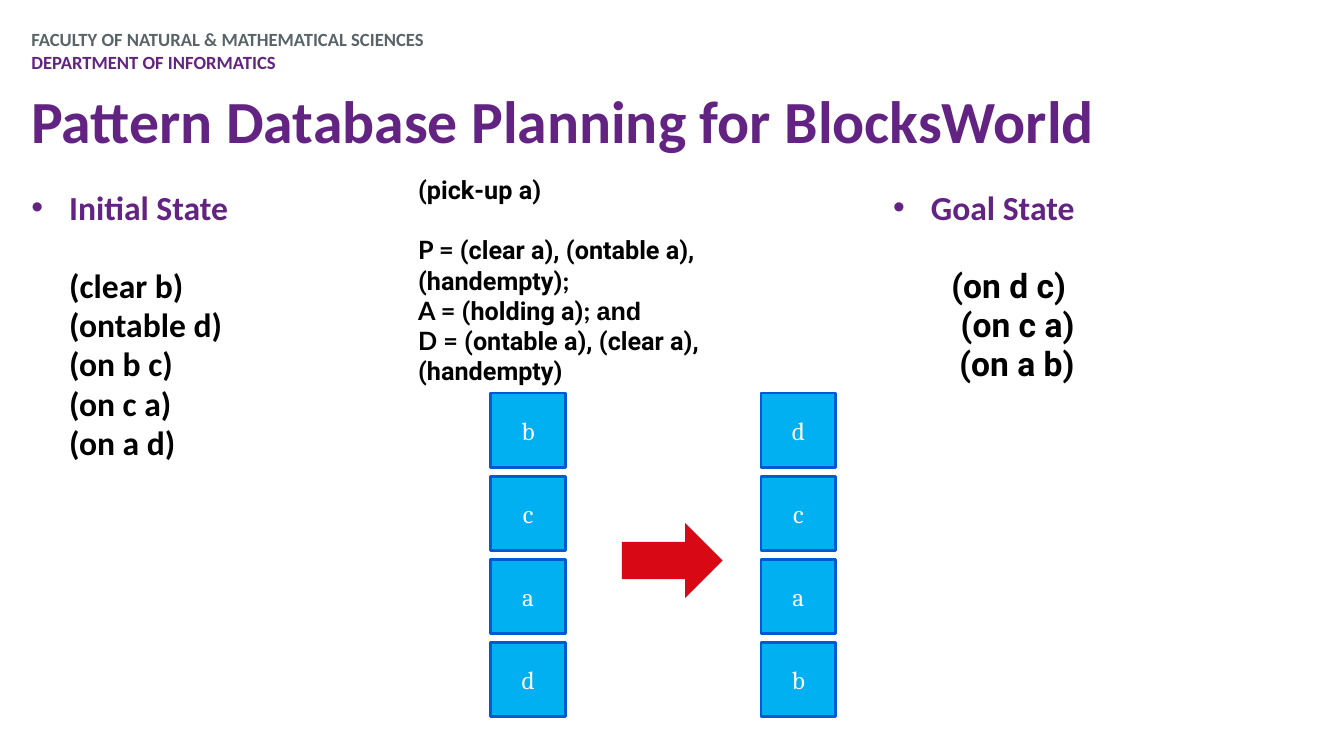
from lxml import etree
from pptx import Presentation
from pptx import util as u
from pptx.dml.color import RGBColor
from pptx.enum import shapes, text
from pptx.oxml.ns import qn

COLOURS = {
    "purple": "632382",
    "grey": "596469",
    "black": "000000",
    "white": "FFFFFF",
    "block": "00B0F0",
    "block_edge": "005AD2",
    "arrow": "D80815",
}
BLOCK_SIZE = 53.4
BLOCK_PITCH = 59.3
BULLET_INDENT = 27


def colour(name):
    return RGBColor.from_string(COLOURS[name])


def style(font, size, face, ink, bold=True):
    font.size = u.Pt(size)
    font.name = face
    font.bold = bold
    font.color.rgb = colour(ink)


def add_frame(slide, left, top, width, height, inset=(0, 0)):
    frame = slide.shapes.add_textbox(*map(u.Pt, (left, top, width, height))).text_frame
    frame.word_wrap = True
    frame.margin_left = frame.margin_right = u.Pt(inset[0])
    frame.margin_top = frame.margin_bottom = u.Pt(inset[1])
    return frame


def add_header(slide, left, top, width):
    affiliation = add_frame(slide, left, top, width, 32.4)
    faculty = affiliation.paragraphs[0]
    faculty.text = "FACULTY OF NATURAL & MATHEMATICAL SCIENCES"
    style(faculty.font, 13.3, "Calibri", "grey")
    department = affiliation.add_paragraph()
    department.text = "DEPARTMENT OF INFORMATICS"
    style(department.font, 13.3, "Calibri", "purple")

    headline = add_frame(slide, left, top + 36.7, 828, 56.9)
    headline.vertical_anchor = text.MSO_ANCHOR.MIDDLE
    title = headline.paragraphs[0]
    title.text = "Pattern Database Planning for BlocksWorld"
    style(title.font, 42.7, "Calibri", "purple")


def add_bullet(paragraph):
    properties = paragraph._p.get_or_add_pPr()
    properties.set("indent", str(-u.Pt(BULLET_INDENT)))
    ink = etree.SubElement(properties, qn("a:buClr"))
    etree.SubElement(ink, qn("a:srgbClr")).set("val", COLOURS["purple"])
    etree.SubElement(properties, qn("a:buFont")).set("typeface", "Arial")
    etree.SubElement(properties, qn("a:buChar")).set("char", "•")


def add_state(slide, left, top, width, heading, facts, face, align):
    frame = add_frame(slide, left, top, width, 357)
    state = frame.paragraphs[0]
    state.text = heading
    style(state.font, 24, "Calibri", "purple")
    state.space_after = u.Pt(28)
    predicates = frame.add_paragraph()
    predicates.text = "\v".join(facts)
    style(predicates.font, 24, face, "black")
    for paragraph in (state, predicates):
        paragraph.alignment = align
        paragraph.line_spacing = u.Pt(28)
        paragraph._p.get_or_add_pPr().set("marL", str(u.Pt(BULLET_INDENT)))
    add_bullet(state)


def add_action(slide, left, top, width, name, effects):
    frame = add_frame(slide, left, top, width, 116.6, inset=(7.2, 3.6))
    action = frame.paragraphs[0]
    action.text = name
    style(action.font, 18, "Roboto", "black")
    action.space_after = u.Pt(21.5)
    for pieces in effects:
        effect = frame.add_paragraph()
        for words, face in pieces:
            run = effect.add_run()
            run.text = words
            style(run.font, 18, face, "black")


def add_tower(slide, left, top, letters):
    for level, letter in enumerate(letters):
        block = slide.shapes.add_shape(
            shapes.MSO_SHAPE.RECTANGLE, u.Pt(left), u.Pt(top + level * BLOCK_PITCH),
            u.Pt(BLOCK_SIZE), u.Pt(BLOCK_SIZE))
        block.shadow.inherit = False
        block.fill.solid()
        block.fill.fore_color.rgb = colour("block")
        block.line.color.rgb = colour("block_edge")
        block.line.width = u.Pt(2)
        block.text_frame.vertical_anchor = text.MSO_ANCHOR.MIDDLE
        label = block.text_frame.paragraphs[0]
        label.text = letter
        label.alignment = text.PP_ALIGN.CENTER
        style(label.font, 18, "Cambria", "white", bold=False)


def add_towers(slide, left, top):
    add_tower(slide, left, top, "bcad")
    add_tower(slide, left + 193, top, "dcab")
    arrow = slide.shapes.add_shape(
        shapes.MSO_SHAPE.RIGHT_ARROW, u.Pt(left + 93.6), u.Pt(top + 92.9),
        u.Pt(72), u.Pt(BLOCK_SIZE))
    arrow.shadow.inherit = False
    arrow.fill.solid()
    arrow.fill.fore_color.rgb = colour("arrow")
    arrow.line.fill.background()


def main():
    deck = Presentation()
    deck.slide_width, deck.slide_height = u.Pt(960), u.Pt(540)
    slide = deck.slides.add_slide(deck.slide_layouts[6])

    add_header(slide, 22.4, 20.2, 643)
    add_state(slide, 22.4, 134, 400, "Initial State",
              ["(clear b)", "(ontable d)", "(on b c)", "(on c a) ", "(on a d)"],
              "Calibri", text.PP_ALIGN.LEFT)
    add_state(slide, 570.2, 134, 197.3, "Goal State",
              ["(on d c) ", "(on c a)", "(on a b)"],
              "Roboto", text.PP_ALIGN.RIGHT)
    add_action(slide, 291.6, 121, 317.5, "(pick-up a)", [
        [("P = ", "Lato"), ("(clear a), (ontable a), (handempty)", "Roboto"), (";", "Lato")],
        [("A = ", "Lato"), ("(holding a)", "Roboto"), ("; ", "Lato"), ("and", "Arial")],
        [("D = ", "Lato"), ("(ontable a), (clear a), (handempty)", "Roboto")],
    ])
    add_towers(slide, 350.6, 280.8)
    deck.save("out.pptx")


if __name__ == "__main__":
    main()
